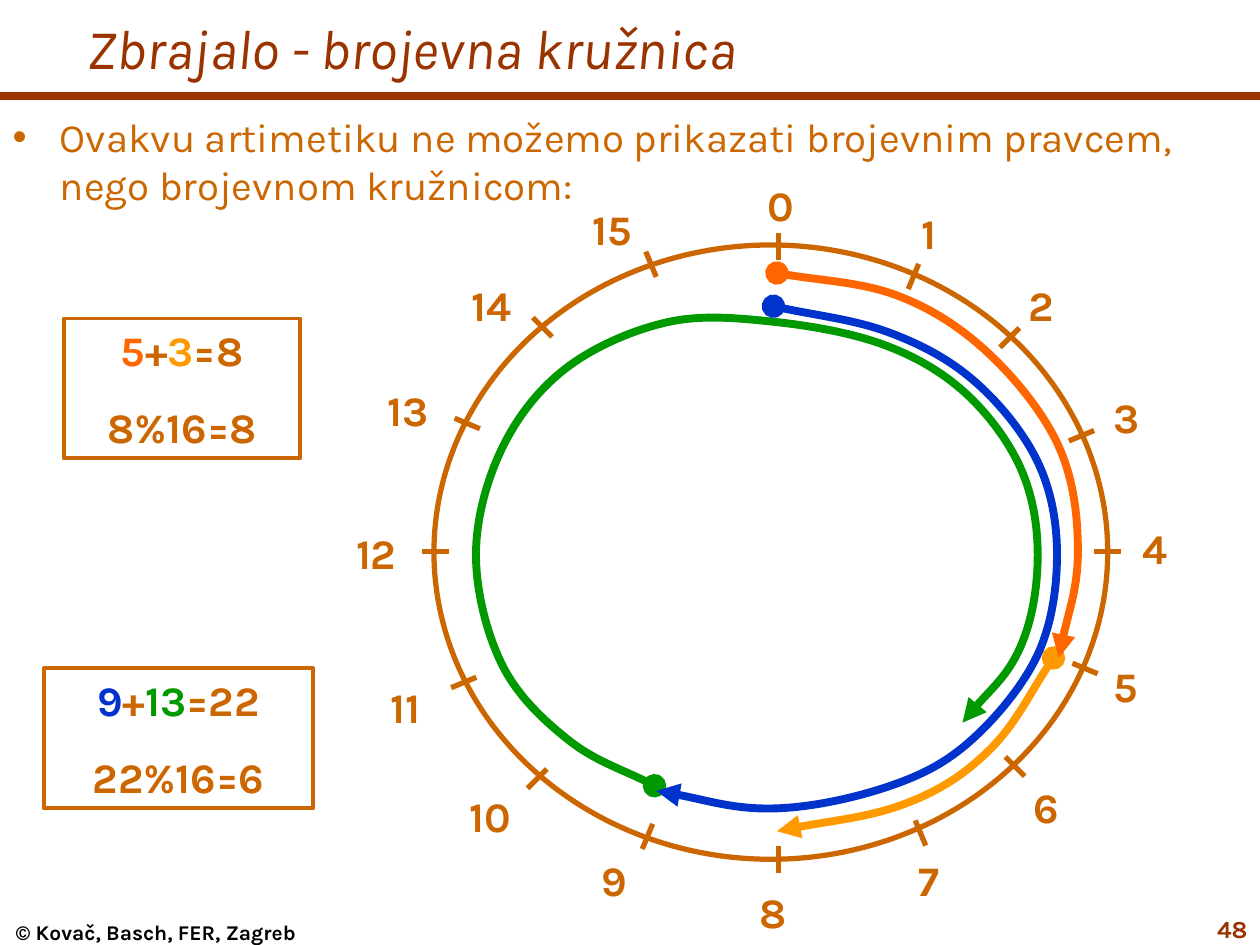
from math import cos, radians, sin

from lxml.etree import SubElement
from pptx import Presentation
from pptx.dml.color import RGBColor
from pptx.enum.shapes import MSO_CONNECTOR as Connector, MSO_SHAPE as Shape
from pptx.enum.text import MSO_ANCHOR as Anchor, MSO_AUTO_SIZE as AutoSize, PP_ALIGN as Align
from pptx.oxml.ns import qn
from pptx.util import Pt

FONT = "Karla"
BROWN = RGBColor(0x99, 0x33, 0x00)
OCHRE = RGBColor(0xCC, 0x66, 0x00)
ORANGE = RGBColor(0xFF, 0x66, 0x00)
AMBER = RGBColor(0xFF, 0x99, 0x00)
BLUE = RGBColor(0x00, 0x33, 0xCC)
GREEN = RGBColor(0x00, 0x99, 0x00)
BLACK = RGBColor(0x00, 0x00, 0x00)

HALF_TICK = 7.8
TICKS = [(197, 1), (274, 18), (329, 53), (370, 109), (385, 175), (372, 242),
         (332, 298), (278, 336), (197, 351), (122, 338), (59, 305), (17, 250),
         (1, 175), (19, 102), (62, 47), (124, 11)]
LABELS = [(198, -41), (283, -25), (347, 16), (396, 80), (412, 155), (395, 234),
          (350, 303), (283, 345), (194, 363), (103, 345), (32, 308), (-16, 246),
          (-33, 158), (-15, 76), (33, 16), (102, -27)]
JUMPS = [
    (AMBER, [(354, 236), (318, 288), (270, 319), (196, 335)]),
    (ORANGE, [(196, 16), (265, 29), (317, 62), (357, 115), (368, 175), (357, 236)]),
    (GREEN, [(126, 309), (77, 283), (39, 240), (24, 177), (39, 116), (76, 70),
             (134, 44), (195, 44), (257, 57), (303, 84), (335, 127), (345, 177),
             (335, 230), (302, 273)]),
    (BLUE, [(194, 35), (260, 50), (309, 78), (345, 124), (356, 177), (345, 234),
            (307, 283), (261, 309), (194, 322), (127, 312)]),
]


def write(paragraph, text, size=24, color=OCHRE, bold=False, italic=False,
          align=Align.LEFT, before=0):
    paragraph.alignment = align
    paragraph.space_before = Pt(before)
    run = paragraph.add_run()
    run.text = text
    font = run.font
    font.name, font.size, font.bold, font.italic = FONT, Pt(size), bold, italic
    font.color.rgb = color


def place(part, box):
    part.left, part.top, part.width, part.height = map(Pt, box)


def add_label(slide, box, text, inset=True, **style):
    label = slide.shapes.add_textbox(*map(Pt, box))
    frame = label.text_frame
    frame.word_wrap = True
    if not inset:
        frame.margin_left = frame.margin_right = frame.margin_top = frame.margin_bottom = 0
    write(frame.paragraphs[0], text, bold=True, **style)


def add_outline(slide, kind, box, width):
    outline = slide.shapes.add_shape(kind, *map(Pt, box))
    outline.shadow.inherit = False
    outline.fill.background()
    outline.line.color.rgb = OCHRE
    outline.line.width = Pt(width)
    return outline


def add_line(slide, start, end, color, width):
    line = slide.shapes.add_connector(Connector.STRAIGHT, *map(Pt, (*start, *end)))
    line.line.color.rgb = color
    line.line.width = Pt(width)
    SubElement(line._element.spPr, qn("a:effectLst"))


def spline_controls(knots):
    padded = [knots[0], *knots, knots[-1]]
    slopes = []
    for before, after in zip(padded, padded[2:]):
        share = 3 if knots[0] == before and not slopes or len(slopes) == len(knots) - 1 else 6
        slopes.append(((after[0] - before[0]) / share, (after[1] - before[1]) / share))
    controls = []
    for i in range(len(knots) - 1):
        (x1, y1), (x2, y2) = knots[i:i + 2]
        (dx1, dy1), (dx2, dy2) = slopes[i:i + 2]
        controls += [(x1 + dx1, y1 + dy1), (x2 - dx2, y2 - dy2), (x2, y2)]
    return controls


def add_curved_arrow(slide, knots, color):
    points = [(Pt(x), Pt(y)) for x, y in spline_controls(knots)]
    builder = slide.shapes.build_freeform(*map(Pt, knots[0]))
    builder.add_line_segments(points, close=False)
    arrow = builder.convert_to_shape()
    arrow.shadow.inherit = False
    arrow.fill.background()
    arrow.line.color.rgb = color
    arrow.line.width = Pt(4.5)
    segments = list(arrow._element.iter(qn("a:lnTo")))
    for i in range(0, len(segments), 3):
        curve, *rest = segments[i:i + 3]
        curve.tag = qn("a:cubicBezTo")
        for segment in rest:
            curve.append(segment[0])
            segment.getparent().remove(segment)
    stroke = arrow._element.spPr.find(qn("a:ln"))
    SubElement(stroke, qn("a:headEnd"), type="oval")
    SubElement(stroke, qn("a:tailEnd"), type="triangle")


def add_heading(slide, box):
    title = slide.shapes.title
    place(title, box)
    title.text_frame.vertical_anchor = Anchor.MIDDLE
    title.text_frame.auto_size = AutoSize.NONE
    write(title.text_frame.paragraphs[0], "Zbrajalo - brojevna kružnica",
          size=32, color=BROWN, italic=True)


def add_statement(slide, box):
    body = slide.placeholders[1]
    place(body, box)
    body.text_frame.auto_size = AutoSize.NONE
    statement = body.text_frame.paragraphs[0]
    write(statement, "Ovakvu artimetiku ne možemo prikazati brojevnim pravcem, "
                     "nego brojevnom kružnicom:", size=23)
    props = statement._p.get_or_add_pPr()
    props.set("marL", str(Pt(27)))
    props.set("indent", str(-Pt(27)))
    bullet_color = SubElement(props, qn("a:buClr"))
    SubElement(bullet_color, qn("a:srgbClr"), val=str(OCHRE))
    SubElement(props, qn("a:buChar"), char="•")


def add_sum(slide, box, terms, remainder):
    frame = add_outline(slide, Shape.RECTANGLE, box, 2.25).text_frame
    frame.word_wrap = True
    frame.vertical_anchor = Anchor.TOP
    style = dict(bold=True, align=Align.CENTER, before=15)
    for text, color in terms:
        write(frame.paragraphs[0], text, color=color, **style)
    write(frame.add_paragraph(), remainder, **style)


def add_number_circle(slide, box):
    left, top = box[:2]
    add_outline(slide, Shape.OVAL, box, 3)
    for number, ((x, y), (label_x, label_y)) in enumerate(zip(TICKS, LABELS)):
        angle = radians(number * 360 / len(TICKS))
        dx, dy = HALF_TICK * sin(angle), -HALF_TICK * cos(angle)
        x, y = left + x, top + y
        add_line(slide, (x - dx, y - dy), (x + dx, y + dy), OCHRE, 3)
        width = 45 if number < 10 else 55
        add_label(slide, (left + label_x - width / 2, top + label_y, width, 36),
                  str(number), align=Align.CENTER)
    for color, knots in JUMPS:
        add_curved_arrow(slide, [(left + x, top + y) for x, y in knots], color)


def add_footer(slide, box):
    left, top, width, height = box
    add_label(slide, (left, top + 6.5, 178, 14.5), "© Kovač, Basch, FER, Zagreb",
              inset=False, size=12, color=BLACK, align=Align.CENTER)
    add_label(slide, (left + width - 60, top, 60, height), "48",
              size=14, color=BROWN, align=Align.RIGHT)


def main():
    deck = Presentation()
    deck.slide_width, deck.slide_height = Pt(720), Pt(540)
    slide = deck.slides.add_slide(deck.slide_layouts[1])
    add_line(slide, (0, 54.7), (720, 54.7), BROWN, 4.5)
    add_heading(slide, (42.5, 0, 677.5, 54))
    add_statement(slide, (0, 60.5, 720, 66))
    add_sum(slide, (36.5, 182, 135, 80),
            [("5", ORANGE), ("+", OCHRE), ("3", AMBER), ("=8", OCHRE)], "8%16=8")
    add_sum(slide, (25, 382, 154, 80),
            [("9", BLUE), ("+", OCHRE), ("13", GREEN), ("=22", OCHRE)], "22%16=6")
    add_number_circle(slide, (248, 140, 385, 351))
    add_footer(slide, (0, 519, 720, 20))
    deck.save("out.pptx")


if __name__ == "__main__":
    main()
